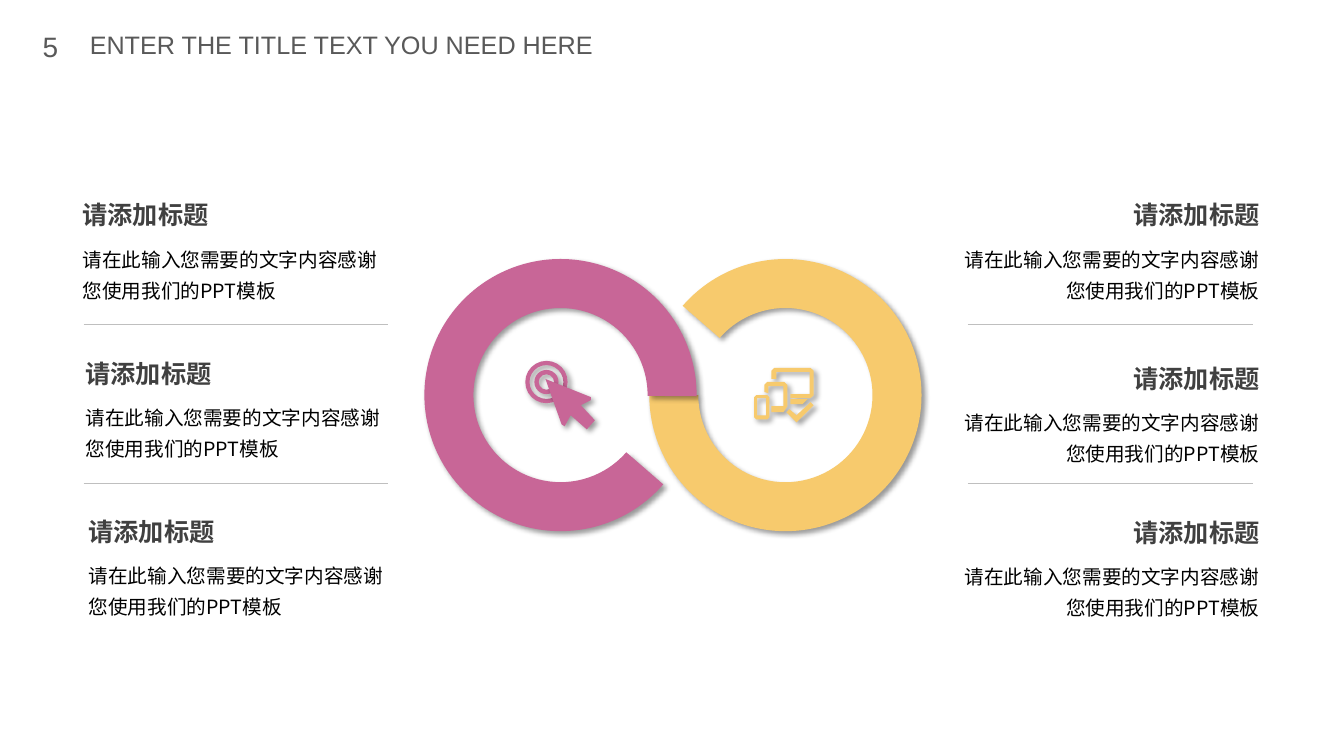
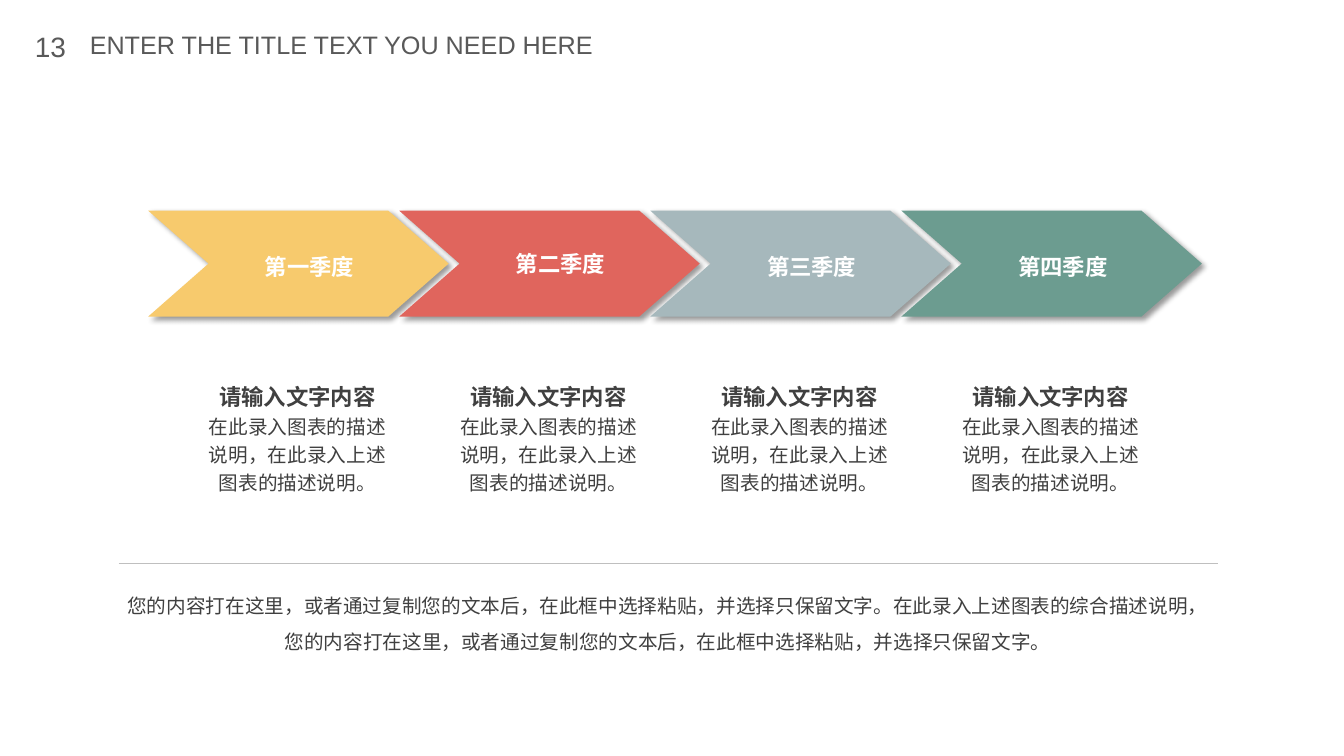
"""Build a linked-ring overview slide and a four-quarter process slide."""
from lxml import etree
from pptx import Presentation
from pptx.dml.color import RGBColor
from pptx.enum.shapes import MSO_CONNECTOR, MSO_SHAPE
from pptx.enum.text import MSO_ANCHOR, MSO_AUTO_SIZE, PP_ALIGN
from pptx.oxml.ns import qn
from pptx.util import Inches, Pt

THEME = {
    "latin": "Arial", "cjk": "Noto Sans CJK SC",
    "grey": "595959", "dark": "404040", "black": "000000", "white": "FFFFFF",
    "rule": "BFBFBF", "yellow": "F7CA6D", "pink": "C86697", "red": "E0655D",
    "mist": "A6B8BC", "green": "6C9C90",
    "number": 20, "title": 18, "heading": 18, "label": 16, "body": 14,
    "hairline": 0.25,
}
LEFT, CENTER, RIGHT = PP_ALIGN.LEFT, PP_ALIGN.CENTER, PP_ALIGN.RIGHT

STYLES = {
    "number": dict(size="number", color="grey", font="latin", align=CENTER),
    "title": dict(size="title", color="grey", font="latin", align=LEFT),
    "heading": dict(size="heading", color="dark", bold=True),
    "body": dict(size="body", color="black", spacing=1.3),
    "quarter": dict(size="label", color="white", bold=True, align=CENTER),
    "topic": dict(size="label", color="dark", bold=True, align=CENTER, spacing=1.2),
    "detail": dict(size="body", color="dark", align=CENTER, spacing=1.2),
    "summary": dict(size="body", color="dark", align=CENTER, spacing=1.5),
}

TITLE = "ENTER THE TITLE TEXT YOU NEED HERE"
HEADING = "请添加标题"
BODY = "请在此输入您需要的文字内容感谢您使用我们的PPT模板"
NOTE_COLUMNS = [
    (LEFT, [(0.72, 1.91), (0.75, 3.48), (0.78, 5.05)], (0.83, 3.85)),
    (RIGHT, [(9.42, 1.91), (9.42, 3.53), (9.42, 5.06)], (9.6, 12.43)),
]
RULE_TOPS = [3.22, 4.79]

DEGREE = 0.6
ROUND_FIGURES = [
    ("yellow", MSO_SHAPE.BLOCK_ARC, (7.79, 3.92), 1.35, (221 * DEGREE, 180 * DEGREE, 0.18)),
    ("pink", MSO_SHAPE.BLOCK_ARC, (5.56, 3.92), 1.35, (41 * DEGREE, 0.5 * DEGREE, 0.18)),
    ("pink", MSO_SHAPE.DONUT, (5.42, 3.79), 0.21, (0.1,)),
    ("pink", MSO_SHAPE.DONUT, (5.42, 3.79), 0.12, (0.18,)),
]
POINTER = [
    [(5.41, 3.76), (5.86, 3.94), (5.86, 3.97), (5.76, 4.02), (5.9, 4.17),
     (5.82, 4.26), (5.66, 4.12), (5.6, 4.23), (5.57, 4.21)],
]
DEVICES = [
    [(7.5, 3.92), (7.61, 3.92), (7.63, 3.94), (7.63, 4.14), (7.61, 4.16),
     (7.5, 4.16), (7.48, 4.14), (7.48, 3.94)],
    [(7.51, 3.95), (7.51, 4.12), (7.6, 4.12), (7.6, 3.95)],
    [(7.58, 3.89), (7.58, 3.82), (7.61, 3.79), (7.78, 3.79), (7.81, 3.82),
     (7.81, 4.03), (7.77, 4.09), (7.65, 4.09), (7.65, 4.03), (7.77, 4.03),
     (7.77, 3.83), (7.62, 3.83), (7.62, 3.9)],
    [(7.65, 3.76), (7.65, 3.68), (7.68, 3.65), (8.04, 3.65), (8.07, 3.68),
     (8.07, 3.92), (8.04, 3.95), (7.84, 3.95), (7.84, 3.91), (8.03, 3.91),
     (8.03, 3.69), (7.7, 3.69), (7.7, 3.76)],
    [(7.84, 3.96), (8.01, 3.96), (7.96, 4.01), (7.84, 4.01)],
    [(7.9, 4.12), (8.04, 3.99), (8.07, 4.02), (7.9, 4.19), (7.8, 4.09), (7.83, 4.06)],
]
ICONS = [("pink", POINTER), ("yellow", DEVICES)]

QUARTERS = [
    ("第一季度", "yellow", 1.2),
    ("第二季度", "red", 1.0),
    ("第三季度", "mist", 1.2),
    ("第四季度", "green", 1.2),
]
TOPIC = "请输入文字内容"
DETAIL = "在此录入图表的描述说明，在此录入上述图表的描述说明。"
SUMMARY = (
    "您的内容打在这里，或者通过复制您的文本后，在此框中选择粘贴，并选择只保留文字。"
    "在此录入上述图表的综合描述说明，"
    "您的内容打在这里，或者通过复制您的文本后，在此框中选择粘贴，并选择只保留文字。"
)
QUARTER_PITCH = 2.49


def rgb(name):
    """Return a theme colour."""
    return RGBColor.from_string(THEME[name])


def write(frame, lines, anchor=MSO_ANCHOR.TOP, **changes):
    """Write (text, style) lines into a text frame."""
    settings = dict(word_wrap=True, auto_size=MSO_AUTO_SIZE.NONE, vertical_anchor=anchor)
    for key, value in settings.items():
        setattr(frame, key, value)
    for index, (text, style) in enumerate(lines):
        look = {**STYLES[style], **changes}
        paragraph = frame.paragraphs[0] if index == 0 else frame.add_paragraph()
        paragraph.alignment = look.get("align", LEFT)
        paragraph.line_spacing = look.get("spacing", 1.0)
        run = paragraph.add_run()
        run.text = text
        face = THEME[look.get("font", "cjk")]
        formats = dict(name=face, size=Pt(THEME[look["size"]]), bold=look.get("bold", False))
        for key, value in formats.items():
            setattr(run.font, key, value)
        run.font.color.rgb = rgb(look["color"])
        east_asian = etree.SubElement(run.font._element, qn("a:ea"))
        east_asian.set("typeface", face)


def add_text(slide, box, lines, **changes):
    """Add a text box at left, top, width, height in inches."""
    write(slide.shapes.add_textbox(*map(Inches, box)).text_frame, lines, **changes)


def add_rule(slide, left, right, top):
    """Add a horizontal hairline."""
    rule = slide.shapes.add_connector(
        MSO_CONNECTOR.STRAIGHT, *map(Inches, (left, top, right, top)))
    rule.line.color.rgb = rgb("rule")
    rule.line.width = Pt(THEME["hairline"])
    etree.SubElement(rule._element.spPr, qn("a:effectLst"))


def paint(figure, color):
    """Give a figure a flat fill and a soft shadow to the lower right."""
    figure.fill.solid()
    figure.fill.fore_color.rgb = rgb(color)
    figure.line.fill.background()
    effects = etree.SubElement(figure._element.spPr, qn("a:effectLst"))
    shadow = etree.SubElement(effects, qn("a:outerShdw"), {
        "blurRad": str(Pt(4)), "dist": str(Pt(3)), "dir": str(45 * 60000),
        "algn": "tl", "rotWithShape": "0"})
    tint = etree.SubElement(shadow, qn("a:srgbClr"), val=THEME["black"])
    etree.SubElement(tint, qn("a:alpha"), val="40000")


def add_preset(slide, kind, box, color, adjustments):
    """Add a painted preset shape and return it."""
    figure = slide.shapes.add_shape(kind, *map(Inches, box))
    for index, value in enumerate(adjustments):
        figure.adjustments[index] = value
    paint(figure, color)
    return figure


def add_outline(slide, color, contours):
    """Add one freeform made of closed contours."""
    scaled = [[(Inches(x), Inches(y)) for x, y in contour] for contour in contours]
    builder = slide.shapes.build_freeform(*scaled[0][0])
    for index, contour in enumerate(scaled):
        if index:
            builder.move_to(*contour[0])
        builder.add_line_segments(contour[1:], close=True)
    paint(builder.convert_to_shape(), color)


def new_slide(deck, number):
    """Add a slide with its number and title."""
    slide = deck.slides.add_slide(deck.slide_layouts[5])
    title = slide.shapes.title
    place = dict(left=0.79, top=0.24, width=6, height=0.4)
    for key, value in place.items():
        setattr(title, key, Inches(value))
    write(title.text_frame, [(TITLE, "title")])
    add_text(slide, (0.23, 0.24, 0.54, 0.44), [(number, "number")])
    return slide


def build_rings(deck):
    """Build the two linked rings with notes on both sides."""
    slide = new_slide(deck, "5")
    for color, kind, (x, y), radius, adjustments in ROUND_FIGURES:
        box = (x - radius, y - radius, 2 * radius, 2 * radius)
        add_preset(slide, kind, box, color, adjustments)
    for color, contours in ICONS:
        add_outline(slide, color, contours)
    for side, notes, (start, end) in NOTE_COLUMNS:
        for top in RULE_TOPS:
            add_rule(slide, start, end, top)
        for left, top in notes:
            add_text(slide, (left, top, 3.17, 0.42), [(HEADING, "heading")],
                     anchor=MSO_ANCHOR.BOTTOM, align=side)
            add_text(slide, (left, top + 0.43, 3.17, 0.61), [(BODY, "body")], align=side)


def build_quarters(deck):
    """Build the chevron row with its topics and summary."""
    slide = new_slide(deck, "13")
    for index, (quarter, color, spacing) in enumerate(QUARTERS):
        shift = index * QUARTER_PITCH
        chevron = add_preset(slide, MSO_SHAPE.CHEVRON, (1.47 + shift, 2.09, 2.98, 1.05),
                             color, (0.57,))
        chevron.text_frame.margin_left = Inches(0.32)
        write(chevron.text_frame, [(quarter, "quarter")],
              anchor=MSO_ANCHOR.MIDDLE, spacing=spacing)
        add_text(slide, (1.93 + shift, 3.7, 2.04, 1.23),
                 [(TOPIC, "topic"), (DETAIL, "detail")])
    add_rule(slide, 1.18, 12.08, 5.59)
    add_text(slide, (1.16, 5.73, 10.93, 0.72), [(SUMMARY, "summary")])


def main():
    """Build and save the presentation."""
    deck = Presentation()
    deck.slide_width, deck.slide_height = Inches(13.33), Inches(7.5)
    build_rings(deck)
    build_quarters(deck)
    deck.save("out.pptx")


if __name__ == "__main__":
    main()
